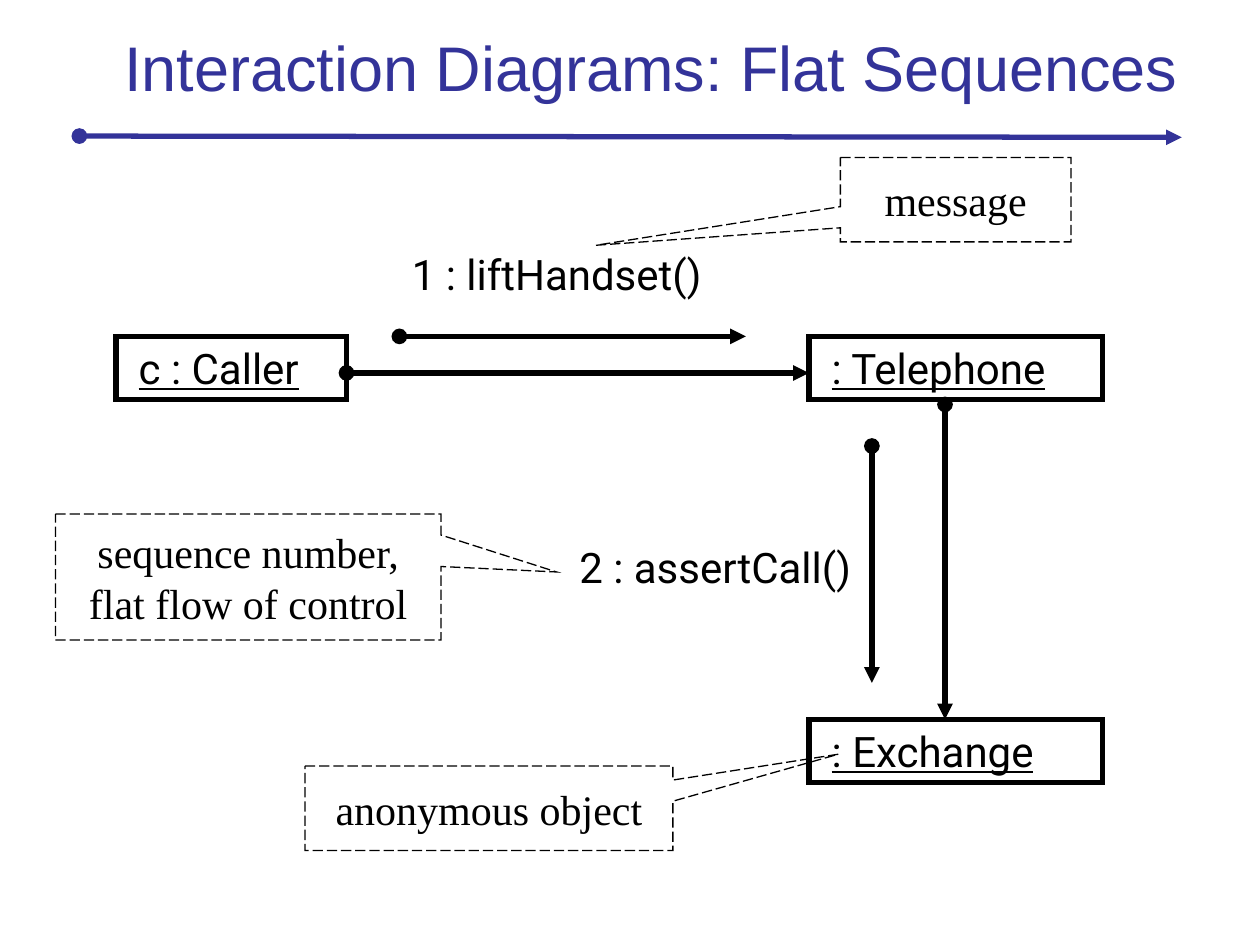
import pptx
import pptx.dml.color
import pptx.enum.dml
import pptx.enum.shapes
import pptx.enum.text
import pptx.oxml
import pptx.oxml.ns
import pptx.util
from pptx.util import Inches

BLACK = pptx.dml.color.RGBColor(0x00, 0x00, 0x00)
BLUE = pptx.dml.color.RGBColor(0x33, 0x33, 0x99)
KIND = pptx.enum.shapes.MSO_SHAPE
ALIGN = pptx.enum.text.PP_ALIGN
ANCHOR = pptx.enum.text.MSO_ANCHOR
NS = pptx.oxml.ns.nsdecls("a")

TITLE = {"name": "Arial", "size": pptx.util.Pt(36)}
NOTE = {"name": "Times New Roman", "size": pptx.util.Pt(24)}
LABEL = {"name": "Roboto", "size": pptx.util.Pt(24)}
NAME = {**LABEL, "underline": True}


def write(shape, lines, style, color, align, anchor, wrap):
    frame = shape.text_frame
    frame.word_wrap = wrap
    frame.vertical_anchor = anchor
    for row, line in enumerate(lines):
        para = frame.paragraphs[0] if row == 0 else frame.add_paragraph()
        para.alignment = align
        if style is NAME:
            lead = para.add_run()
            lead.text = " "
            for key, value in LABEL.items():
                setattr(lead.font, key, value)
        run = para.add_run()
        run.text = line
        run.font.color.rgb = color
        for key, value in style.items():
            setattr(run.font, key, value)


def draw(kind, box, width):
    shape = slide.shapes.add_shape(kind, *map(Inches, box))
    shape.shadow.inherit = False
    shape.fill.background()
    shape.line.color.rgb = BLACK
    shape.line.width = pptx.util.Pt(width)
    if kind == KIND.RECTANGULAR_CALLOUT:
        shape.line.dash_style = pptx.enum.dml.MSO_LINE.LONG_DASH
    miter = pptx.oxml.parse_xml(f'<a:miter {NS} lim="800000"/>')
    shape.line._get_or_add_ln().append(miter)
    return shape


deck = pptx.Presentation()
deck.slide_width = Inches(10)
deck.slide_height = Inches(7.5)
slide = deck.slides.add_slide(deck.slide_layouts[6])

title = slide.shapes.add_textbox(*map(Inches, (0.5, -0.05, 9.2, 1.15)))
write(title, [" Interaction Diagrams: Flat Sequences"], TITLE, BLUE,
      ALIGN.CENTER, ANCHOR.MIDDLE, True)

notes = [
    (["sequence number,", "flat flow of control"], (0.44, 4.08, 3.06, 1), (0.8, -0.04)),
    (["anonymous object"], (2.42, 6.08, 2.92, 0.67), (0.95, -0.64)),
    (["message"], (6.67, 1.25, 1.83, 0.67), (-1.56, 0.54)),
]
for lines, box, tip in notes:
    note = draw(KIND.RECTANGULAR_CALLOUT, box, 0.75)
    note.adjustments[0], note.adjustments[1] = tip
    write(note, lines, NOTE, BLACK, ALIGN.CENTER, ANCHOR.MIDDLE, False)

nodes = [
    ("c : Caller", 0.92, 2.67, 1.83),
    (": Telephone", 6.42, 2.67, 2.33),
    (": Exchange", 6.42, 5.71, 2.33),
]
for text, left, top, width in nodes:
    node = draw(KIND.RECTANGLE, (left, top, width, 0.5), 3)
    write(node, [text], NAME, BLACK, ALIGN.LEFT, ANCHOR.TOP, True)

labels = [
    ("1 : liftHandset()", 3.17, 1.92, 2.67),
    ("2 : assertCall()", 4.5, 4.25, 2.5),
]
for text, left, top, width in labels:
    label = slide.shapes.add_textbox(*map(Inches, (left, top, width, 0.5)))
    write(label, [text], LABEL, BLACK, ALIGN.LEFT, ANCHOR.TOP, True)

arrows = [
    ((0.63, 1.08, 9.38, 1.09), BLUE),
    ((2.75, 2.96, 6.42, 2.96), BLACK),
    ((7.5, 3.21, 7.5, 5.71), BLACK),
    ((3.17, 2.67, 5.92, 2.67), BLACK),
    ((6.92, 3.54, 6.92, 5.42), BLACK),
]
for ends, color in arrows:
    arrow = slide.shapes.add_connector(
        pptx.enum.shapes.MSO_CONNECTOR.STRAIGHT, *map(Inches, ends))
    arrow.line.color.rgb = color
    arrow.line.width = pptx.util.Pt(3)
    stroke = arrow.line._get_or_add_ln()
    for tag, tip in (("headEnd", "oval"), ("tailEnd", "triangle")):
        stroke.append(pptx.oxml.parse_xml(f'<a:{tag} {NS} type="{tip}"/>'))
    arrow._element.spPr.append(pptx.oxml.parse_xml(f"<a:effectLst {NS}/>"))

deck.save("out.pptx")
